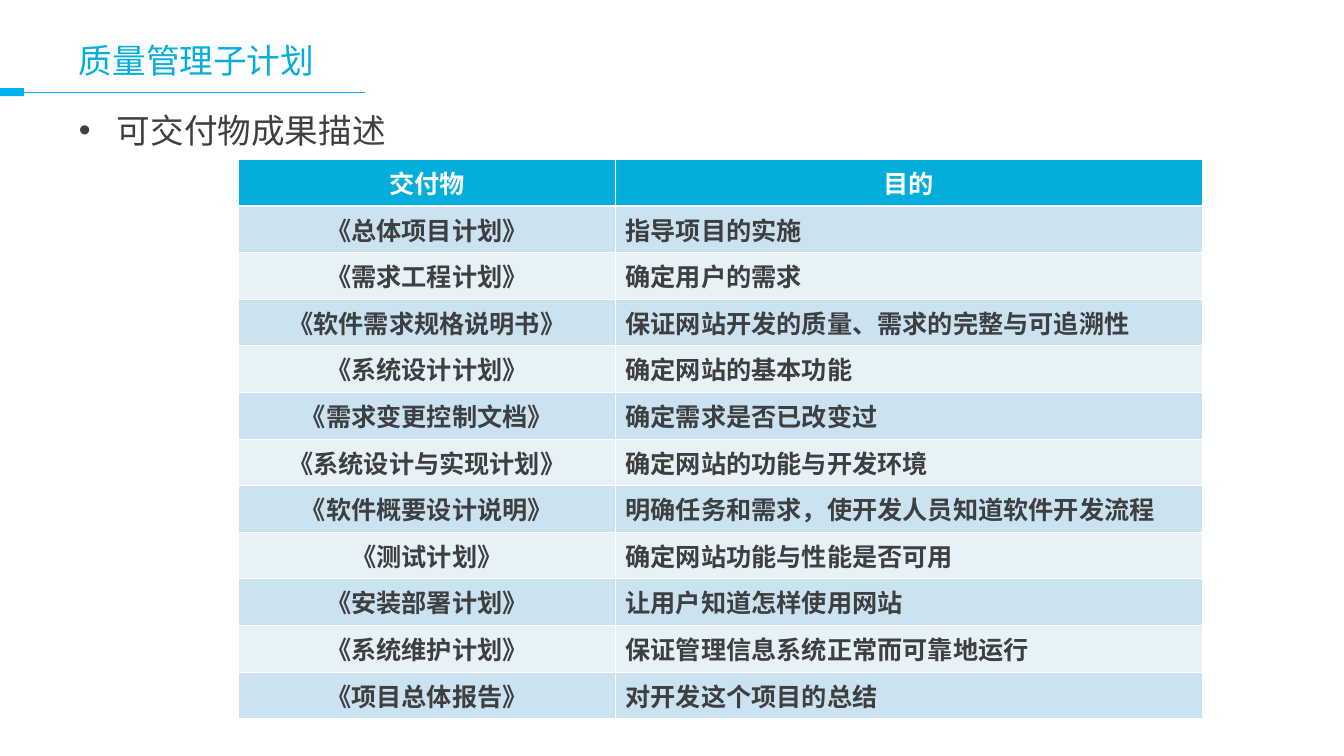
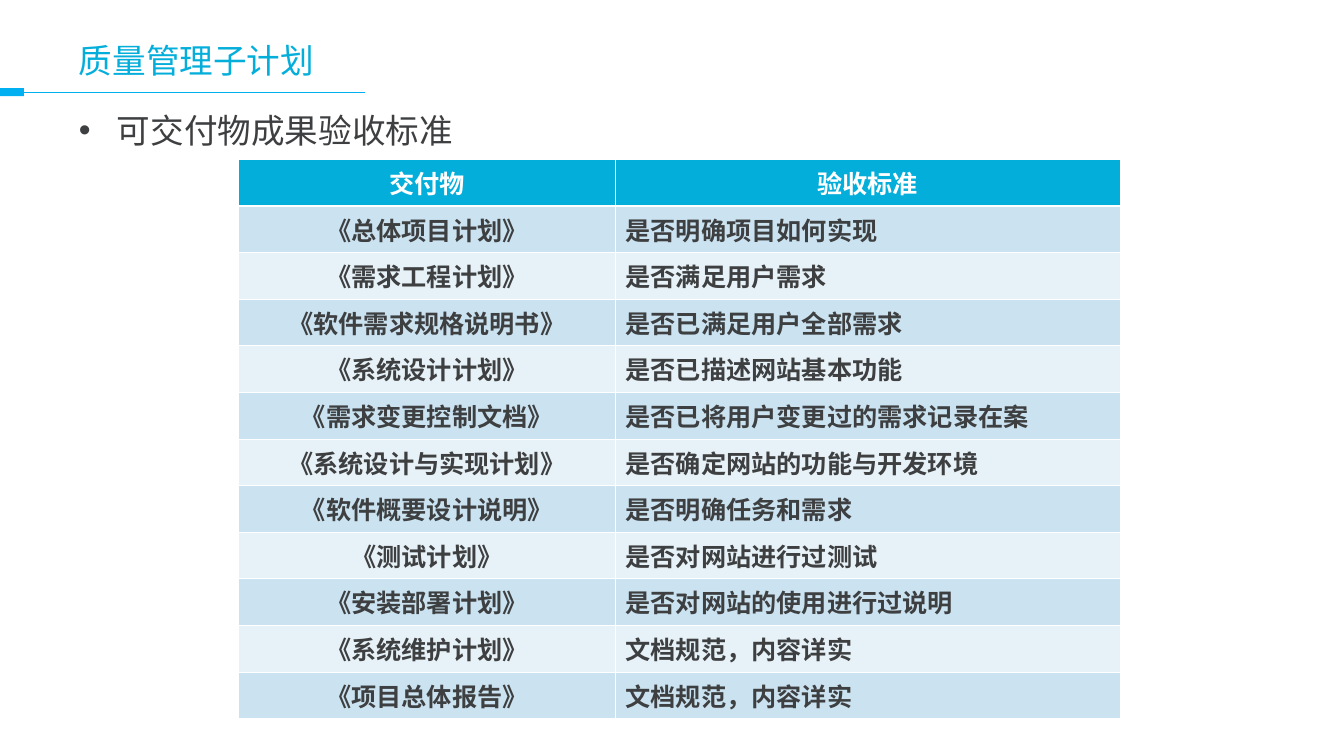
from dataclasses import dataclass

from lxml.etree import SubElement
from pptx import Presentation
from pptx.dml.color import RGBColor
from pptx.enum.shapes import MSO_CONNECTOR, MSO_SHAPE
from pptx.enum.text import MSO_ANCHOR, PP_ALIGN
from pptx.oxml.ns import qn
from pptx.util import Emu, Pt

PIXELS_PER_INCH = 100.7


@dataclass(frozen=True)
class Theme:
    title: str = "04AEDA"
    band: str = "00B0F0"
    text: str = "3D3F41"
    white: str = "FFFFFF"
    header_fill: str = "04AEDA"
    row_fills: tuple[str, str] = ("CBE3F1", "E7F2F8")
    latin_font: str = "Arial"
    chinese_font: str = "Noto Sans CJK SC"
    heading_size: int = 24
    table_size: int = 18
    band_line: float = 0.74
    cell_line: float = 0.45
    header_line: float = 1.47


@dataclass(frozen=True)
class Box:
    left: int
    top: int
    width: int
    height: int

    def emu(self) -> tuple[Emu, Emu, Emu, Emu]:
        return px(self.left), px(self.top), px(self.width), px(self.height)


@dataclass(frozen=True)
class DeliverablePage:
    topic: str
    column_heading: str
    column_width: int
    entries: tuple[str, ...]


THEME = Theme()
PAGE_WIDTH, PAGE_HEIGHT = 1343, 755
TITLE = "质量管理子计划"
TITLE_BOX = Box(69, 28, 1208, 63)
TOPIC_BOX = Box(69, 105, 581, 539)
BAND_BOX = Box(0, 88, 24, 8)
BAND_LINE_END = 365
BULLET_INDENT = 38
TABLE_LEFT, TABLE_TOP, TABLE_HEIGHT = 238, 159, 559
NAME_WIDTH = 377

DELIVERABLES = (
    "总体项目计划", "需求工程计划", "软件需求规格说明书", "系统设计计划",
    "需求变更控制文档", "系统设计与实现计划", "软件概要设计说明", "测试计划",
    "安装部署计划", "系统维护计划", "项目总体报告",
)

PAGES = (
    DeliverablePage("可交付物成果描述", "目的", 586, (
        "指导项目的实施",
        "确定用户的需求",
        "保证网站开发的质量、需求的完整与可追溯性",
        "确定网站的基本功能",
        "确定需求是否已改变过",
        "确定网站的功能与开发环境",
        "明确任务和需求，使开发人员知道软件开发流程",
        "确定网站功能与性能是否可用",
        "让用户知道怎样使用网站",
        "保证管理信息系统正常而可靠地运行",
        "对开发这个项目的总结",
    )),
    DeliverablePage("可交付物成果验收标准", "验收标准", 504, (
        "是否明确项目如何实现",
        "是否满足用户需求",
        "是否已满足用户全部需求",
        "是否已描述网站基本功能",
        "是否已将用户变更过的需求记录在案",
        "是否确定网站的功能与开发环境",
        "是否明确任务和需求",
        "是否对网站进行过测试",
        "是否对网站的使用进行过说明",
        "文档规范，内容详实",
        "文档规范，内容详实",
    )),
)


def px(pixels: int) -> Emu:
    return Emu(round(pixels * 914400 / PIXELS_PER_INCH))


def rgb(colour: str) -> RGBColor:
    return RGBColor.from_string(colour)


def add_span(para, text: str, size: int, colour: str, font: str, bold: bool = False) -> None:
    span = para.add_run()
    span.text = text
    span.font.size = Pt(size)
    span.font.bold = bold
    span.font.color.rgb = rgb(colour)
    span.font.name = font
    SubElement(span.font._element, qn("a:ea"), typeface=THEME.chinese_font)


# Title and topic text
def add_heading(page, box: Box, text: str, colour: str, anchor: MSO_ANCHOR):
    frame = page.shapes.add_textbox(*box.emu()).text_frame
    frame.word_wrap = True
    frame.vertical_anchor = anchor
    para = frame.paragraphs[0]
    add_span(para, text, THEME.heading_size, colour, THEME.latin_font)
    return para


def add_bullet(para) -> None:
    para.space_before = para.space_after = Pt(3)
    properties = para._p.get_or_add_pPr()
    properties.set("marL", str(px(BULLET_INDENT)))
    properties.set("indent", str(-px(BULLET_INDENT)))
    colour = SubElement(properties, qn("a:buClr"))
    SubElement(colour, qn("a:srgbClr"), val=THEME.text)
    SubElement(properties, qn("a:buFont"), typeface=THEME.latin_font)
    SubElement(properties, qn("a:buChar"), char="•")


# Band and rule below the title
def add_band(page) -> None:
    middle = px(BAND_BOX.top + BAND_BOX.height // 2)
    rule = page.shapes.add_connector(
        MSO_CONNECTOR.STRAIGHT, px(BAND_BOX.width), middle, px(BAND_LINE_END), middle)
    rule.line.color.rgb = rgb(THEME.band)
    rule.line.width = Pt(THEME.band_line)
    SubElement(rule._element.spPr, qn("a:effectLst"))
    band = page.shapes.add_shape(MSO_SHAPE.RECTANGLE, *BAND_BOX.emu())
    band.shadow.inherit = False
    band.fill.solid()
    band.fill.fore_color.rgb = rgb(THEME.band)
    band.line.fill.background()


# Table
def add_borders(cell, row: int) -> None:
    properties = cell._tc.get_or_add_tcPr()
    top = THEME.header_line if row == 1 else THEME.cell_line
    bottom = THEME.header_line if row == 0 else THEME.cell_line
    widths = {"lnL": THEME.cell_line, "lnR": THEME.cell_line, "lnT": top, "lnB": bottom}
    for side, width in widths.items():
        line = SubElement(properties, qn(f"a:{side}"), w=str(Pt(width)))
        fill = SubElement(line, qn("a:solidFill"))
        SubElement(fill, qn("a:srgbClr"), val=THEME.white)


def fill_cell(cell, text: str, row: int, column: int) -> None:
    is_header = row == 0
    add_borders(cell, row)
    cell.fill.solid()
    fill = THEME.header_fill if is_header else THEME.row_fills[(row - 1) % 2]
    cell.fill.fore_color.rgb = rgb(fill)
    para = cell.text_frame.paragraphs[0]
    para.alignment = PP_ALIGN.CENTER if is_header or column == 0 else PP_ALIGN.LEFT
    colour = THEME.white if is_header else THEME.text
    add_span(para, text, THEME.table_size, colour, THEME.chinese_font, bold=True)


def add_deliverable_table(page, content: DeliverablePage) -> None:
    names = (f"《{name}》" for name in DELIVERABLES)
    rows = [("交付物", content.column_heading), *zip(names, content.entries)]
    widths = (NAME_WIDTH, content.column_width)
    box = Box(TABLE_LEFT, TABLE_TOP, sum(widths), TABLE_HEIGHT)
    # add_table shares the height equally among the rows
    table = page.shapes.add_table(len(rows), len(widths), *box.emu()).table
    table.horz_banding = False
    for column, width in zip(table.columns, widths):
        column.width = px(width)
    for row, texts in enumerate(rows):
        for column, text in enumerate(texts):
            fill_cell(table.cell(row, column), text, row, column)


# Deck
def build_page(deck, content: DeliverablePage) -> None:
    page = deck.slides.add_slide(deck.slide_layouts[6])
    add_band(page)
    add_heading(page, TITLE_BOX, TITLE, THEME.title, MSO_ANCHOR.MIDDLE)
    topic = add_heading(page, TOPIC_BOX, content.topic, THEME.text, MSO_ANCHOR.TOP)
    add_bullet(topic)
    add_deliverable_table(page, content)


def main() -> None:
    deck = Presentation()
    deck.slide_width, deck.slide_height = px(PAGE_WIDTH), px(PAGE_HEIGHT)
    for content in PAGES:
        build_page(deck, content)
    deck.save("out.pptx")


main()
